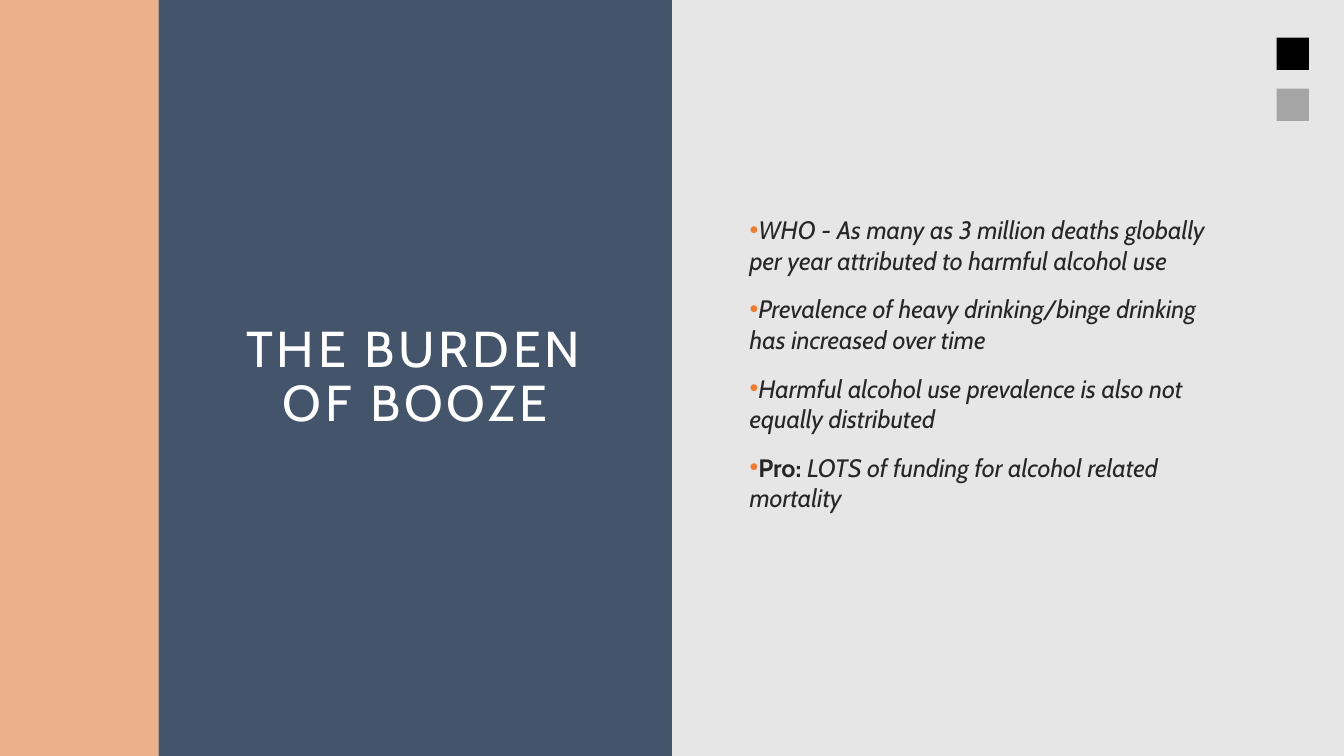
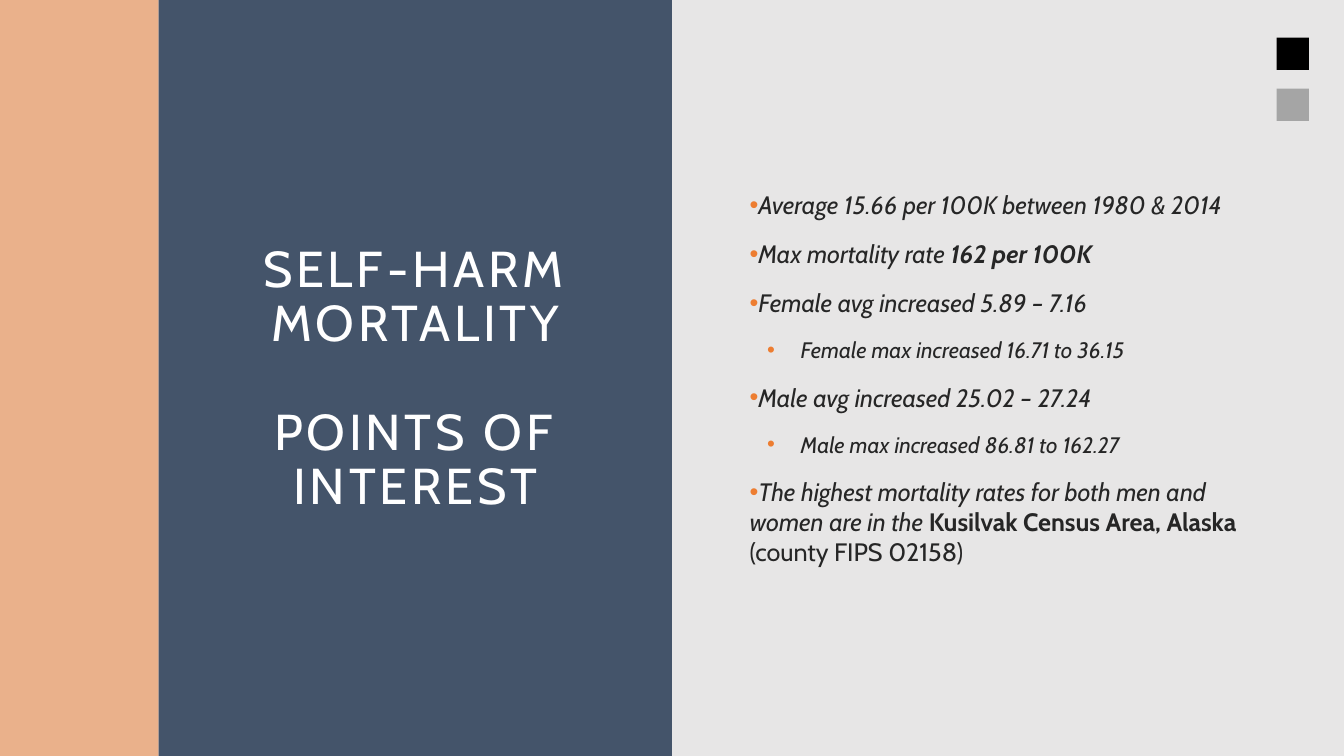
from pptx import Presentation
from pptx import util as u
from pptx.dml import color
from pptx.enum import shapes, text
from pptx.oxml import ns
from lxml import etree

WIDE = 10
HIGH = WIDE * 9 / 16
BAND, PANEL = 1.18, 3.82
FONT = "Cabin"
ORANGE, NAVY, PALE = "ED7D31", "44546A", "E7E6E6"
INK, WHITE, BLACK, GREY = "262626", "FFFFFF", "000000", "A5A5A5"
BODY = (5.48, 0.87, 3.83, 3.89)
MARKS = (9.5, 0.28, 0.24, 0.38)


def paint(fmt, hue):
    fmt.rgb = color.RGBColor.from_string(hue)


def add_tag(node, tag, **attrs):
    return etree.SubElement(node, ns.qn(tag), **attrs)


def block(slide, box, hue, alpha=None):
    shape = slide.shapes.add_shape(
        shapes.MSO_SHAPE.RECTANGLE, *map(u.Inches, box))
    shape.shadow.inherit = False
    shape.line.fill.background()
    shape.fill.solid()
    paint(shape.fill.fore_color, hue)
    if alpha:
        tone = shape.fill._xPr.find(".//" + ns.qn("a:srgbClr"))
        add_tag(tone, "a:alpha", val=str(alpha * 1000))


def write(para, words, size, hue, bold=False, italic=False, space=0):
    run = para.add_run()
    run.text = words
    font = run.font
    font.name, font.size = FONT, u.Pt(size)
    font.bold, font.italic = bold, italic
    paint(font.color, hue)
    if space:
        run._r.get_or_add_rPr().set("spc", str(space * 100))


def bullet(para, left):
    props = para._p.get_or_add_pPr()
    props.set("marL", str(u.Inches(left)))
    props.set("indent", str(u.Inches(-0.25)))
    add_tag(add_tag(props, "a:buClr"), "a:srgbClr", val=ORANGE)
    add_tag(props, "a:buFont", typeface="Arial")
    add_tag(props, "a:buChar", char="•")


def set_frame(frame, side, top, right, foot):
    frame.word_wrap = True
    frame.auto_size = text.MSO_AUTO_SIZE.NONE
    frame.vertical_anchor = text.MSO_ANCHOR.MIDDLE
    frame.margin_left, frame.margin_top = u.Inches(side), u.Inches(top)
    frame.margin_right, frame.margin_bottom = u.Inches(right), u.Inches(foot)


def paras(frame, items):
    for i, item in enumerate(items):
        yield (frame.add_paragraph() if i else frame.paragraphs[0]), item


def panels(slide):
    block(slide, (0, 0, BAND, HIGH), ORANGE, alpha=50)
    block(slide, (BAND, 0, PANEL, HIGH), NAVY)


def heading(slide, box, lines):
    title = slide.shapes.title
    slide.shapes._spTree.append(title._element)
    title.left, title.top, title.width, title.height = map(u.Inches, box)
    set_frame(title.text_frame, 0.2, 0.2, 0.2, 0.2)
    for para, line in paras(title.text_frame, lines):
        para.alignment = text.PP_ALIGN.CENTER
        para.line_spacing = 0.9
        para.space_before = u.Pt(29 if line != lines[0] else 0)
        write(para, line, 27, WHITE, space=2)


def points(slide, box, items, right, foot):
    frame = slide.shapes.add_textbox(*map(u.Inches, box)).text_frame
    set_frame(frame, 0.1, 0.05, right, foot)
    for para, (level, *runs) in paras(frame, items):
        para.level = level
        para.space_before = u.Pt(10)
        bullet(para, 0.38 * level)
        for words, style in runs:
            write(para, words, 12 if level else 13.5, INK,
                  bold="b" in style, italic="i" in style)


def marks(slide, box):
    left, top, side, step = box
    for i, hue in enumerate((BLACK, GREY)):
        block(slide, (left, top + i * step, side, side), hue)


def topic(deck, box, lines, items, right=0.1, foot=0.05):
    slide = deck.slides.add_slide(deck.slide_layouts[5])
    slide.background.fill.solid()
    paint(slide.background.fill.fore_color, PALE)
    panels(slide)
    heading(slide, box, lines)
    points(slide, BODY, items, right, foot)
    marks(slide, MARKS)


def main():
    deck = Presentation()
    deck.slide_width, deck.slide_height = u.Inches(WIDE), u.Inches(HIGH)
    topic(deck, (1.6, 0.87, 2.98, 3.89), ["THE BURDEN OF BOOZE"], [
        (0, ("WHO - As many as 3 million deaths globally per year "
             "attributed to harmful alcohol use", "i")),
        (0, ("Prevalence of heavy drinking/binge drinking "
             "has increased over time", "i")),
        (0, ("Harmful alcohol use prevalence is also not "
             "equally distributed", "i")),
        (0, ("Pro: ", "b"),
         ("LOTS of funding for alcohol related mortality", "i")),
    ], right=0.15, foot=0.27)
    topic(deck, (1.24, 0.88, 3.7, 3.89),
          ["SELF-HARM MORTALITY", "POINTS OF INTEREST"], [
        (0, ("Average 15.66 per 100K between 1980 & 2014", "i")),
        (0, ("Max mortality rate ", "i"), ("162 per 100K", "bi")),
        (0, ("Female avg increased 5.89 – 7.16", "i")),
        (1, ("Female max increased 16.71 to 36.15", "i")),
        (0, ("Male avg increased 25.02 – 27.24", "i")),
        (1, ("Male max increased 86.81 to 162.27", "i")),
        (0, ("The highest mortality rates for both men and women "
             "are in the ", "i"),
         ("Kusilvak Census Area, Alaska ", "b"),
         ("(county FIPS 02158)", "")),
    ])
    deck.save("out.pptx")


if __name__ == "__main__":
    main()
